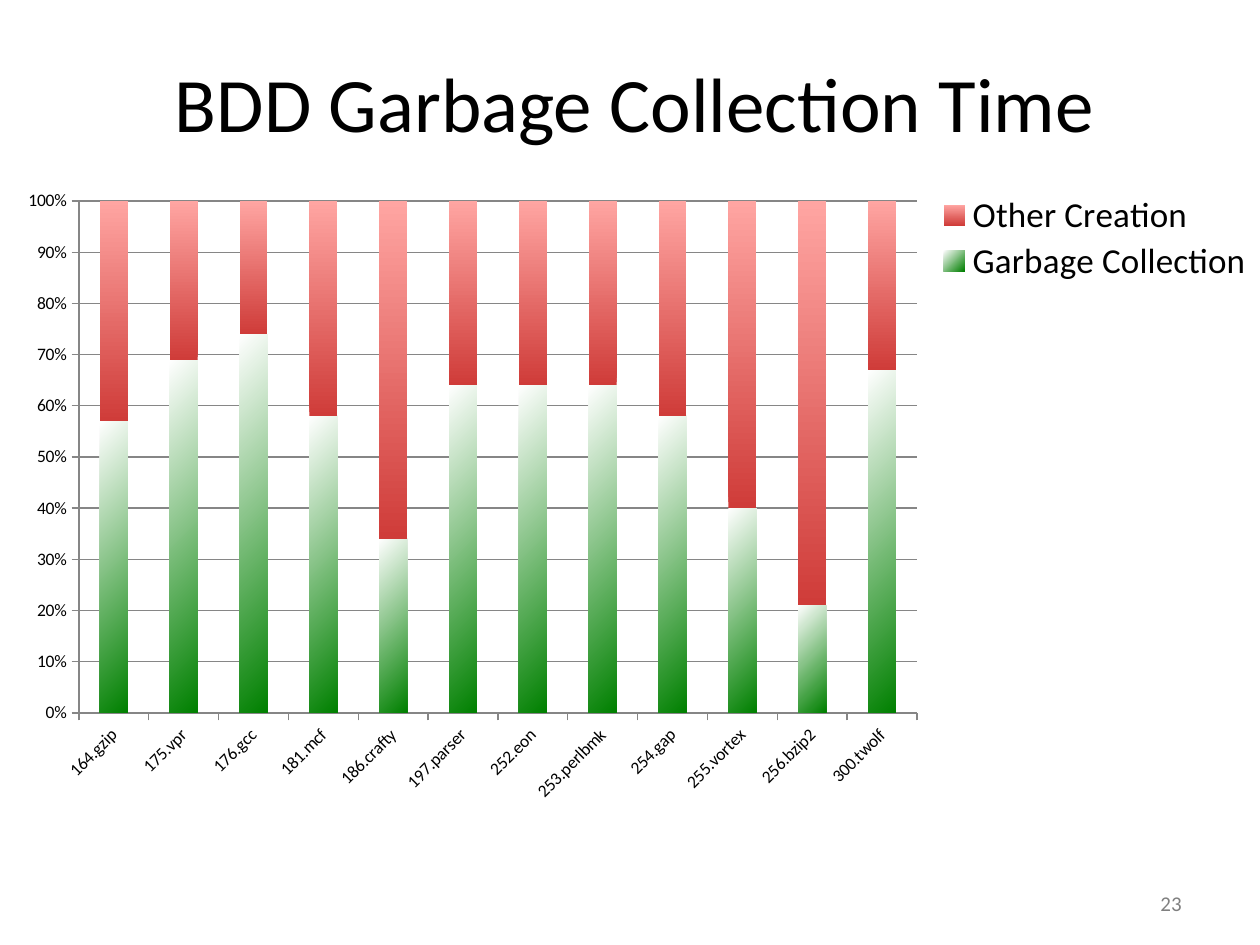
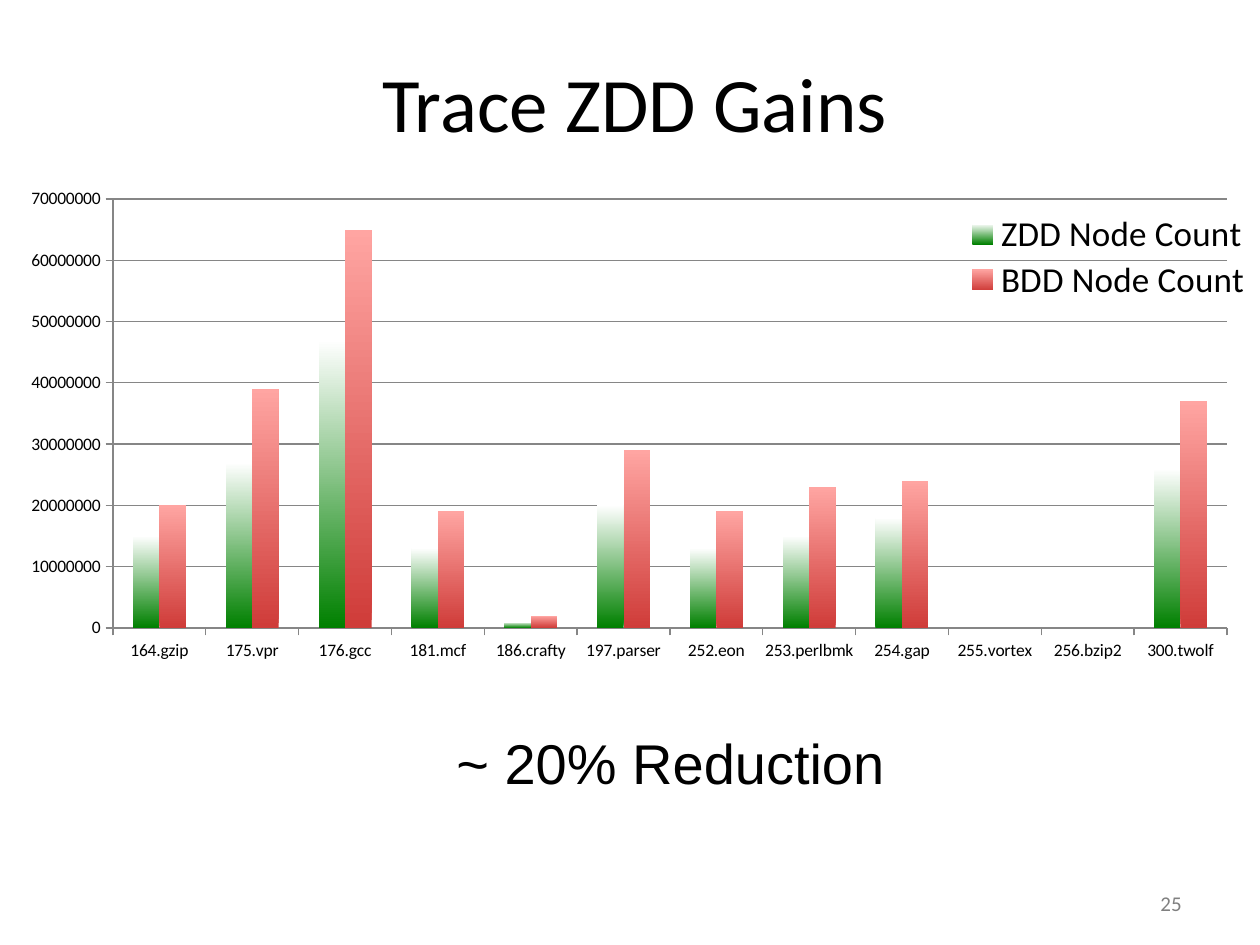
import pptx
import pptx.chart.data
import pptx.dml.color
import pptx.enum.chart
import pptx.enum.text
import pptx.oxml
import pptx.oxml.ns
import pptx.util
from dataclasses import dataclass

KIND = pptx.enum.chart.XL_CHART_TYPE
ALIGN = pptx.enum.text.PP_ALIGN
ANCHOR = pptx.enum.text.MSO_ANCHOR
qn = pptx.oxml.ns.qn


@dataclass(frozen=True)
class Theme:
    ink: str = "000000"
    gray: str = "808080"
    rule: str = "868686"
    green: tuple = ("008000", "FFFFFF")
    red: tuple = ("CF3C39", "FFA5A2")
    font: str = "Calibri"
    plain: str = "Arial"
    title: int = 44
    note: int = 32
    key: int = 20
    page: int = 12
    axis: int = 10
    line: float = 0.75


T = Theme()
SCALE = 914400 / 126
SIZE = (1260, 945)
TITLE = (52, 23, 1166, 158)
PAGE = (900, 878, 294, 50)
TESTS = ["164.gzip", "175.vpr", "176.gcc", "181.mcf", "186.crafty", "197.parser",
         "252.eon", "253.perlbmk", "254.gap", "255.vortex", "256.bzip2", "300.twolf"]
SLIDES = [
    dict(
        title="BDD Garbage Collection Time", page="23", note=None,
        chart=dict(
            box=(0, 181, 1260, 660), kind=KIND.COLUMN_STACKED_100, overlap=100,
            plot=(79, 20, 838, 512), key=(930, 10, 330, 94),
            form="0%", turn=-45, unit=1,
            rows=[
                ("Garbage Collection", T.green, True,
                 [57, 69, 74, 58, 34, 64, 64, 64, 58, 40, 21, 67]),
                ("Other Creation", T.red, False,
                 [43, 31, 26, 42, 66, 36, 36, 36, 42, 60, 79, 33]),
            ],
        ),
    ),
    dict(
        title="Trace ZDD Gains", page="25",
        note=("~ 20% Reduction", (444, 722, 457, 81)),
        chart=dict(
            box=(0, 180, 1260, 558), kind=KIND.COLUMN_CLUSTERED, overlap=0,
            plot=(113, 19, 1114, 429), key=(957, 30, 303, 94),
            form="General", turn=0, unit=1000000,
            rows=[
                ("ZDD Node Count", T.green, False,
                 [15, 27, 47, 13, 1, 20, 13, 15, 18, 0, 0, 26]),
                ("BDD Node Count", T.red, False,
                 [20, 39, 65, 19, 2, 29, 19, 23, 24, 0, 0, 37]),
            ],
        ),
    ),
]


def emu(box):
    return [round(n * SCALE) for n in box]


def rgb(tone):
    return pptx.dml.color.RGBColor.from_string(tone)


def style(font, size, tone=T.ink, face=T.font):
    font.name = face
    font.size = pptx.util.Pt(size)
    font.bold = False
    font.color.rgb = rgb(tone)


def write(slide, text, box, size, align, anchor=ANCHOR.MIDDLE, wrap=True, **look):
    frame = slide.shapes.add_textbox(*emu(box)).text_frame
    frame.word_wrap = wrap
    frame.vertical_anchor = anchor
    para = frame.paragraphs[0]
    para.alignment = align
    run = para.add_run()
    run.text = text
    style(run.font, size, **look)


def layout(box, area, inner=False):
    target = '<c:layoutTarget val="inner"/>' if inner else ""
    modes = "".join(f'<c:{n}Mode val="edge"/>' for n in "xy")
    sizes = (area[2], area[3]) * 2
    parts = "".join(f'<c:{n} val="{v / s:.4f}"/>' for n, v, s in zip("xywh", box, sizes))
    space = pptx.oxml.ns.nsdecls("c")
    return pptx.oxml.parse_xml(
        f"<c:layout {space}><c:manualLayout>{target}{modes}{parts}"
        "</c:manualLayout></c:layout>")


def place(node, spot, after=None):
    for old in node.findall(qn("c:layout")):
        node.remove(old)
    if after is None:
        node.insert(0, spot)
    else:
        node.find(qn(after)).addnext(spot)


def shade(row, tones, round_fill):
    fill = row.format.fill
    fill.gradient()
    fill.gradient_angle = 90
    for stop, tone, at in zip(fill.gradient_stops, tones, (0, 1)):
        stop.color.rgb = rgb(tone)
        stop.position = at
    if round_fill:
        lin = next(row._element.iter(qn("a:lin")))
        space = pptx.oxml.ns.nsdecls("a")
        lin.getparent().replace(lin, pptx.oxml.parse_xml(
            f'<a:path {space} path="circle"><a:fillToRect l="100000" t="100000"/></a:path>'))


def rule(line):
    line.color.rgb = rgb(T.rule)
    line.width = pptx.util.Pt(T.line)


def plot(slide, box, kind, overlap, plot, key, form, turn, unit, rows):
    data = pptx.chart.data.CategoryChartData()
    data.categories = TESTS
    for name, _, _, vals in rows:
        data.add_series(name, [v * unit for v in vals])
    chart = slide.shapes.add_chart(kind, *emu(box), data).chart
    style(chart.font, T.axis)
    chart.has_title = False
    bars = chart.plots[0]
    bars.gap_width = 150
    bars.overlap = overlap
    bars.vary_by_categories = False
    for row, (_, tones, round_fill, _) in zip(bars.series, rows):
        row.invert_if_negative = False
        shade(row, tones, round_fill)
    for axis in (chart.category_axis, chart.value_axis):
        axis.major_tick_mark = pptx.enum.chart.XL_TICK_MARK.OUTSIDE
        axis.minor_tick_mark = pptx.enum.chart.XL_TICK_MARK.NONE
        style(axis.tick_labels.font, T.axis)
        rule(axis.format.line)
    labels = chart.value_axis.tick_labels
    labels.number_format = form
    labels.number_format_is_linked = False
    chart.value_axis.has_major_gridlines = True
    rule(chart.value_axis.major_gridlines.format.line)
    body = next(chart.category_axis._element.iter(qn("a:bodyPr")))
    body.set("rot", str(turn * 60000))
    chart.has_legend = True
    chart.legend.position = pptx.enum.chart.XL_LEGEND_POSITION.RIGHT
    chart.legend.include_in_layout = False
    style(chart.legend.font, T.key)
    place(chart.legend._element, layout(key, box), "c:legendPos")
    place(next(chart._chartSpace.iter(qn("c:plotArea"))), layout(plot, box, True))


def main():
    deck = pptx.Presentation()
    deck.slide_width, deck.slide_height = emu(SIZE)
    for item in SLIDES:
        slide = deck.slides.add_slide(deck.slide_layouts[6])
        write(slide, item["page"], PAGE, T.page, ALIGN.RIGHT, tone=T.gray)
        write(slide, item["title"], TITLE, T.title, ALIGN.CENTER)
        if item["note"]:
            text, box = item["note"]
            write(slide, text, box, T.note, ALIGN.LEFT, ANCHOR.TOP, False, face=T.plain)
        plot(slide, **item["chart"])
    deck.save("out.pptx")


if __name__ == "__main__":
    main()
